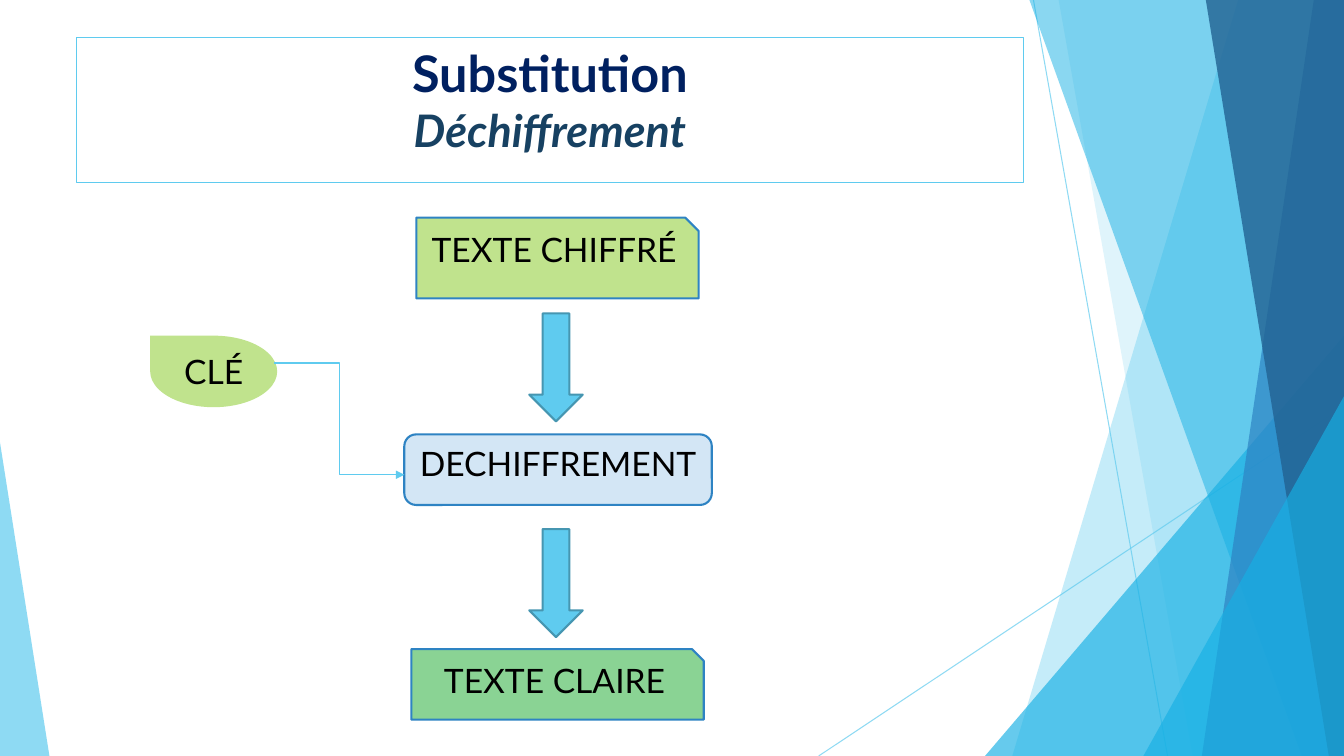
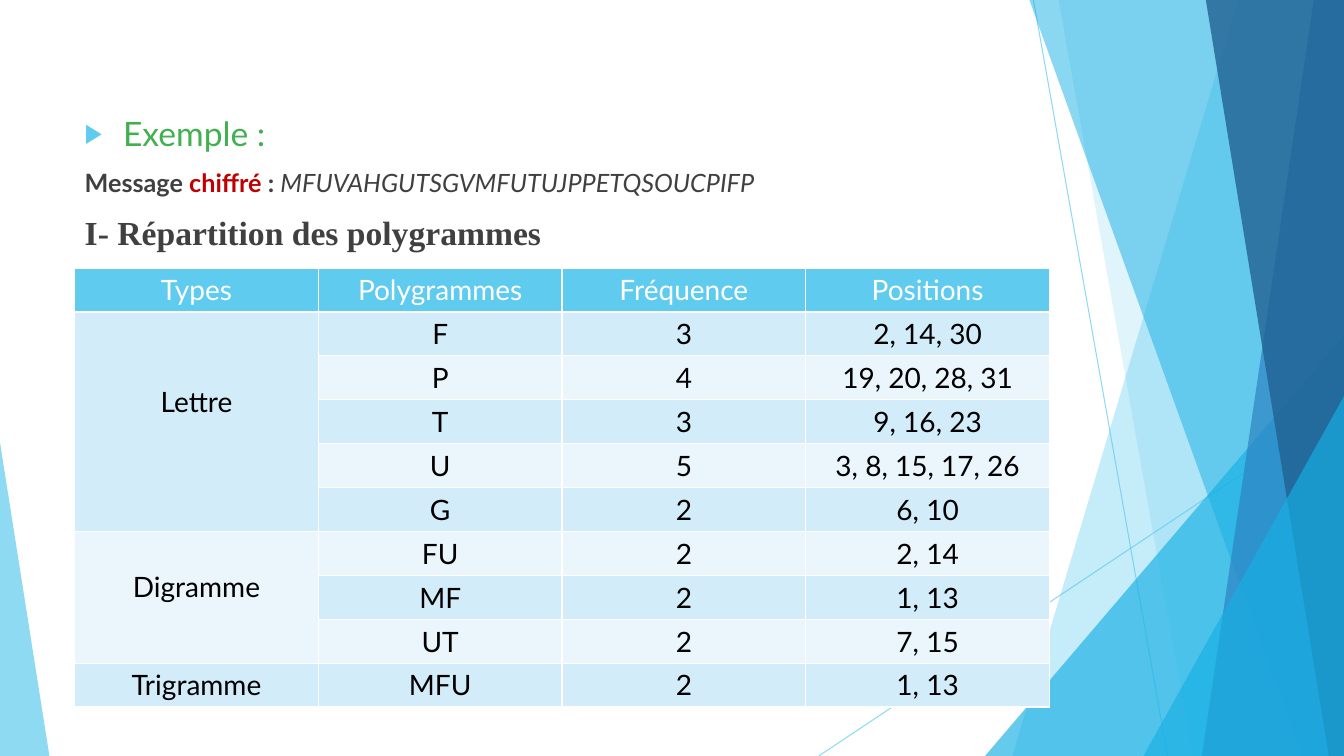
from lxml.etree import SubElement
from pptx import Presentation
from pptx.dml.color import RGBColor
from pptx.enum.shapes import MSO_CONNECTOR, MSO_SHAPE as SHAPE
from pptx.enum.text import MSO_ANCHOR as ANCHOR, MSO_AUTO_SIZE as AUTO_SIZE, PP_ALIGN as ALIGN
from pptx.oxml.ns import qn
from pptx.util import Inches, Pt

SKY = RGBColor(0x5F, 0xCB, 0xEF)
CYAN = RGBColor(0x17, 0xB0, 0xE4)
BLUE = RGBColor(0x2E, 0x83, 0xC3)
DEEP_BLUE = RGBColor(0x22, 0x62, 0x92)
ARROW_EDGE = RGBColor(0x46, 0x96, 0xB1)
NAVY = RGBColor(0x00, 0x20, 0x60)
STEEL = RGBColor(0x17, 0x41, 0x62)
LIME = RGBColor(0xC0, 0xE3, 0x8D)
MINT = RGBColor(0x8A, 0xD3, 0x94)
PALE_BLUE = RGBColor(0xD3, 0xE6, 0xF5)
GREEN = RGBColor(0x42, 0xB0, 0x51)
RED = RGBColor(0xC0, 0x00, 0x00)
GRAY = RGBColor(0x40, 0x40, 0x40)
BLACK = RGBColor(0x00, 0x00, 0x00)
WHITE = RGBColor(0xFF, 0xFF, 0xFF)
BANDS = (RGBColor(0xD2, 0xEC, 0xF9), RGBColor(0xEA, 0xF6, 0xFC))

SLIDE_WIDTH, SLIDE_HEIGHT = 13.33, 7.5
MAIN_FONT, SERIF_FONT = "Lato", "Times New Roman"

DECOR_LINES = [(10.25, 0, 11.58, 7.5), (13.33, 4.03, 8.12, 7.5)]
DECOR_AREAS = [
    ("panel", (12.28, 10.04), SKY, 36),
    ("panel", (10.5, 11.83), SKY, 20),
    ("triangle", (9.77, 3.33, 3.56, 4.17, 1), CYAN, 66),
    ("panel", (10.21, 12.91), CYAN, 50),
    ("panel", (13.03, 11.92), BLUE, 70),
    ("panel", (11.96, 13.18), DEEP_BLUE, 80),
    ("triangle", (11.34, 3.93, 1.99, 3.57, 1), CYAN, 66),
    ("triangle", (0, 4.39, 0.49, 3.11, 0), SKY, 70),
]

TITLE_BOX = (0.76, 0.37, 9.39, 1.44)
TITLE_LINES = [
    ("Substitution", NAVY, dict(size=Pt(36), bold=True)),
    ("Déchiffrement", STEEL, dict(size=Pt(32), bold=True, italic=True)),
]
FLOW_BOXES = [
    ("TEXTE CHIFFRÉ", SHAPE.SNIP_1_RECTANGLE, (4.13, 2.16, 2.8, 0.8), LIME, BLUE),
    ("CLÉ", SHAPE.TEAR, (1.49, 3.33, 1.26, 0.71), LIME, None),
    ("DECHIFFREMENT", SHAPE.ROUNDED_RECTANGLE, (4.01, 4.31, 3.05, 0.7), PALE_BLUE, BLUE),
    ("TEXTE CLAIRE", SHAPE.SNIP_1_RECTANGLE, (4.08, 6.44, 2.9, 0.7), MINT, BLUE),
]
ARROW_TOPS = (3.11, 5.25)
KEY_LINK = (2.72, 3.6, 4.01, 4.71)

BODY_BOX = (0.74, 1.07, 9.4, 1.55)
BODY_LINES = [
    (True, [("Exemple :", GREEN, dict(size=Pt(24)))]),
    (False, [
        ("Message ", GRAY, dict(size=Pt(18), bold=True)),
        ("chiffré", RED, dict(size=Pt(18), bold=True)),
        (" : ", GRAY, dict(size=Pt(18), bold=True)),
        ("MFUVAHGUTSGVMFUTUJPPETQSOUCPIFP", GRAY, dict(size=Pt(18), italic=True)),
    ]),
    (False, [("I- Répartition des polygrammes", GRAY,
              dict(size=Pt(24), bold=True, name=SERIF_FONT))]),
]
TABLE_LEFT, TABLE_TOP, TABLE_WIDTH = 0.74, 2.66, 9.67
ROW_HEIGHT = 0.43
HEADERS = ("Types", "Polygrammes", "Fréquence", "Positions")
GROUPS = [
    ("Lettre", 0.72, [
        ("F", "3", "2, 14, 30"),
        ("P", "4", "19, 20, 28, 31"),
        ("T", "3", "9, 16, 23"),
        ("U", "5", "3, 8, 15, 17, 26"),
        ("G", "2", "6, 10"),
    ]),
    ("Digramme", 0.38, [
        ("FU", "2", "2, 14"),
        ("MF", "2", "1, 13"),
        ("UT", "2", "7, 15"),
    ]),
    ("Trigramme", 0.05, [("MFU", "2", "1, 13")]),
]


def lengths(values):
    return [Inches(value) for value in values]


def style_font(font, color, values):
    for name, value in {"name": MAIN_FONT, **values}.items():
        setattr(font, name, value)
    font.color.rgb = color


def add_run(paragraph, text, color, values):
    run = paragraph.add_run()
    run.text = text
    style_font(run.font, color, values)


def set_opacity(shape, percent):
    for color in shape.element.spPr.iter(qn("a:srgbClr")):
        SubElement(color, qn("a:alpha"), val=str(percent * 1000))


def paint(shape, fill, edge=None):
    shape.shadow.inherit = False
    shape.fill.solid()
    shape.fill.fore_color.rgb = fill
    if edge is None:
        shape.line.fill.background()
    else:
        shape.line.color.rgb = edge
        shape.line.width = Pt(1.5)


def add_link(shapes, kind, ends, width):
    link = shapes.add_connector(kind, *lengths(ends))
    link.line.color.rgb = SKY
    link.line.width = Pt(width)
    SubElement(link.element.spPr, qn("a:effectLst"))
    return link


def add_panel(shapes, top_left, bottom_left):
    builder = shapes.build_freeform(Inches(top_left), 0)
    corners = [(SLIDE_WIDTH, 0), (SLIDE_WIDTH, SLIDE_HEIGHT), (bottom_left, SLIDE_HEIGHT)]
    builder.add_line_segments([lengths(corner) for corner in corners], close=True)
    return builder.convert_to_shape()


def add_triangle(shapes, left, top, width, height, apex):
    triangle = shapes.add_shape(SHAPE.ISOSCELES_TRIANGLE, *lengths((left, top, width, height)))
    triangle.adjustments[0] = apex
    return triangle


def decorate_master(master, slide):
    decor = []
    for ends in DECOR_LINES:
        line = add_link(slide.shapes, MSO_CONNECTOR.STRAIGHT, ends, 0.75)
        set_opacity(line, 70)
        decor.append(line)
    makers = {"panel": add_panel, "triangle": add_triangle}
    for kind, geometry, color, opacity in DECOR_AREAS:
        area = makers[kind](slide.shapes, *geometry)
        paint(area, color)
        set_opacity(area, opacity)
        decor.append(area)
    for number, shape in enumerate(decor, start=101):
        shape.element.xpath(".//p:cNvPr")[0].set("id", str(number))
        master.shapes.element.append(shape.element)


def place(shape, box):
    for name, value in zip(("left", "top", "width", "height"), lengths(box)):
        setattr(shape, name, value)
    frame = shape.text_frame
    frame.word_wrap = True
    frame.auto_size = AUTO_SIZE.NONE
    frame.vertical_anchor = ANCHOR.TOP
    return frame


def next_paragraph(frame, index):
    return frame.add_paragraph() if index else frame.paragraphs[0]


def build_flow_slide(slide):
    title = slide.shapes.title
    frame = place(title, TITLE_BOX)
    title.line.color.rgb = SKY
    title.line.width = Pt(0.75)
    for index, line in enumerate(TITLE_LINES):
        paragraph = next_paragraph(frame, index)
        paragraph.alignment = ALIGN.CENTER
        add_run(paragraph, *line)

    for text, kind, box, fill, edge in FLOW_BOXES:
        shape = slide.shapes.add_shape(kind, *lengths(box))
        paint(shape, fill, edge)
        if kind == SHAPE.TEAR:
            shape.element.spPr.find(qn("a:xfrm")).set("flipH", "1")
        paragraph = place(shape, box).paragraphs[0]
        paragraph.alignment = ALIGN.CENTER
        add_run(paragraph, text, BLACK, dict(size=Pt(24)))

    for top in ARROW_TOPS:
        arrow = slide.shapes.add_shape(SHAPE.DOWN_ARROW, *lengths((5.25, top, 0.53, 1.07)))
        paint(arrow, SKY, ARROW_EDGE)
    link = add_link(slide.shapes, MSO_CONNECTOR.ELBOW, KEY_LINK, 1)
    SubElement(link.element.spPr.find(qn("a:ln")), qn("a:tailEnd"), type="triangle")


def set_bullet(paragraph, bulleted):
    properties = paragraph._p.get_or_add_pPr()
    indent = Inches(0.38) if bulleted else 0
    properties.set("marL", str(indent))
    properties.set("indent", str(-indent))
    if bulleted:
        color = SubElement(properties, qn("a:buClr"))
        SubElement(color, qn("a:srgbClr"), val=str(SKY))
        SubElement(properties, qn("a:buSzPct"), val="80000")
        SubElement(properties, qn("a:buChar"), char="▶")
    else:
        SubElement(properties, qn("a:buNone"))


def fill_cell(cell, text, fill, color, margin_top=0.05):
    properties = cell._tc.get_or_add_tcPr()
    for side in ("lnL", "lnR", "lnT", "lnB"):
        border = SubElement(properties, qn(f"a:{side}"), w=str(Pt(1)))
        SubElement(SubElement(border, qn("a:solidFill")), qn("a:srgbClr"), val=str(WHITE))
    cell.fill.solid()
    cell.fill.fore_color.rgb = fill
    cell.margin_top = Inches(margin_top)
    paragraph = cell.text_frame.paragraphs[0]
    paragraph.alignment = ALIGN.CENTER
    if text:
        add_run(paragraph, text, color, dict(size=Pt(20), bold=False))


def build_table(slide):
    row_count = 1 + sum(len(rows) for _, _, rows in GROUPS)
    box = (TABLE_LEFT, TABLE_TOP, TABLE_WIDTH, ROW_HEIGHT * row_count)
    table = slide.shapes.add_table(row_count, len(HEADERS), *lengths(box)).table
    for column, header in enumerate(HEADERS):
        fill_cell(table.cell(0, column), header, SKY, WHITE)
    row = 1
    for label, margin_top, entries in GROUPS:
        first = row
        for entry in entries:
            band = BANDS[(row - 1) % 2]
            if row == first:
                fill_cell(table.cell(row, 0), label, band, BLACK, margin_top)
            else:
                fill_cell(table.cell(row, 0), "", band, BLACK)
            for column, text in enumerate(entry, start=1):
                fill_cell(table.cell(row, column), text, band, BLACK)
            row += 1
        if len(entries) > 1:
            table.cell(first, 0).merge(table.cell(row - 1, 0))


def build_example_slide(slide):
    title = slide.shapes.title.element
    title.getparent().remove(title)
    frame = place(slide.placeholders[1], BODY_BOX)
    for index, (bulleted, runs) in enumerate(BODY_LINES):
        paragraph = next_paragraph(frame, index)
        set_bullet(paragraph, bulleted)
        paragraph.space_before = Pt(10 if index else 0)
        for run in runs:
            add_run(paragraph, *run)
    build_table(slide)


def main():
    presentation = Presentation()
    presentation.slide_width = Inches(SLIDE_WIDTH)
    presentation.slide_height = Inches(SLIDE_HEIGHT)
    layouts = presentation.slide_layouts
    flow_slide = presentation.slides.add_slide(layouts.get_by_name("Title Only"))
    decorate_master(presentation.slide_master, flow_slide)
    build_flow_slide(flow_slide)
    build_example_slide(presentation.slides.add_slide(layouts.get_by_name("Title and Content")))
    presentation.save("out.pptx")


if __name__ == "__main__":
    main()
